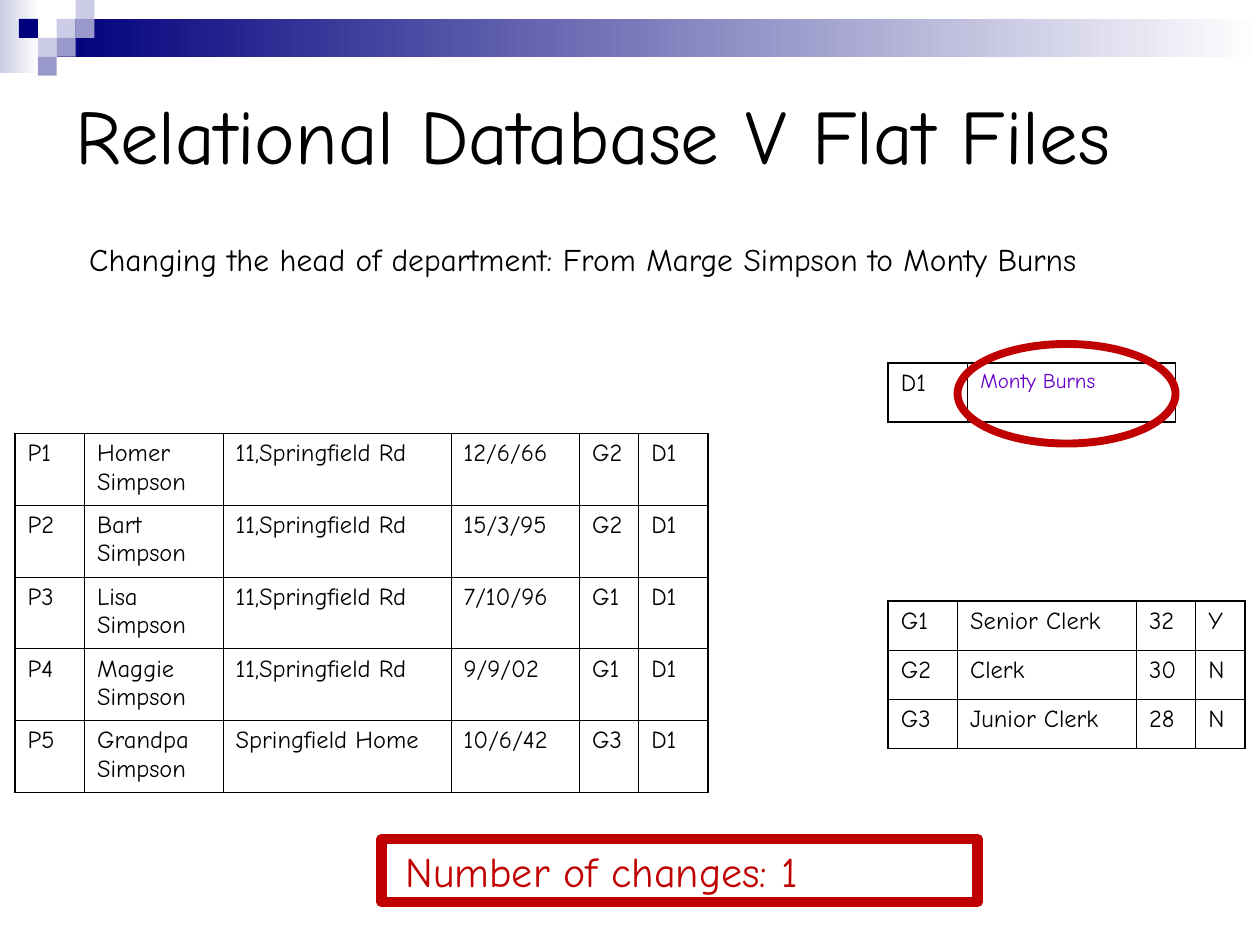
import pptx
import pptx.util
import pptx.oxml
import pptx.oxml.ns
from pptx.dml.color import RGBColor
from pptx.enum.shapes import MSO_SHAPE
from pptx.enum.text import MSO_ANCHOR, PP_ALIGN

Inches, Pt = pptx.util.Inches, pptx.util.Pt

FONT = "Comic Neue"
BLACK = RGBColor(0x00, 0x00, 0x00)
WHITE = RGBColor(0xFF, 0xFF, 0xFF)
NAVY = RGBColor(0x00, 0x00, 0x7D)
LILAC = RGBColor(0xCC, 0xCC, 0xE6)
PERIWINKLE = RGBColor(0x99, 0x99, 0xCC)
RED = RGBColor(0xC0, 0x00, 0x00)
PURPLE = RGBColor(0x66, 0x00, 0xCC)

# Content
TITLE = "Relational Database V Flat Files"
SUBTITLE = "Changing the head of department: From Marge Simpson to Monty Burns"
RESULT = "Number of changes: 1"
DEPARTMENTS = [("D1", "Monty Burns")]
GRADES = [
    ("G1", "Senior Clerk", "32", "Y"),
    ("G2", "Clerk", "30", "N"),
    ("G3", "Junior Clerk", "28", "N"),
]
STAFF = [
    ("P1", "Homer Simpson", "11,Springfield Rd", "12/6/66", "G2", "D1"),
    ("P2", "Bart Simpson", "11,Springfield Rd", "15/3/95", "G2", "D1"),
    ("P3", "Lisa Simpson", "11,Springfield Rd", "7/10/96", "G1", "D1"),
    ("P4", "Maggie Simpson", "11,Springfield Rd", "9/9/02", "G1", "D1"),
    ("P5", "Grandpa Simpson", "Springfield Home", "10/6/42", "G3", "D1"),
]
# Rows, left, top, column widths, row height
TABLES = [
    (DEPARTMENTS, 7.05, 2.88, (0.63, 1.65), 0.47),
    (GRADES, 7.05, 4.77, (0.55, 1.42, 0.47, 0.39), 0.39),
    (STAFF, 0.12, 3.44, (0.55, 1.1, 1.81, 1.02, 0.47, 0.55), 0.57),
]
CHANGED = {"Monty Burns": (12, PURPLE)}

# Gradient bars: left, top, width, height, start colour
BARS = [(0, 0, 0.31, 0.58, LILAC), (0.45, 0.15, 9.55, 0.3, NAVY)]
# Checker squares: column, row, colour
SQUARE = 0.15
SQUARES = [
    (3, 1, LILAC), (4, 0, LILAC), (4, 1, PERIWINKLE), (2, 2, LILAC),
    (1, 1, NAVY), (3, 2, PERIWINKLE), (2, 3, PERIWINKLE),
]
OUTER, INNER = 1.08, 0.45


def add_shape(kind, x, y, w, h):
    sp = slide.shapes.add_shape(kind, Inches(x), Inches(y), Inches(w), Inches(h))
    sp.shadow.inherit = False
    return sp


def add_outline(kind, x, y, w, h, weight):
    sp = add_shape(kind, x, y, w, h)
    sp.fill.background()
    sp.line.color.rgb = RED
    sp.line.width = Pt(weight)
    return sp


def write(tf, text, size, color):
    p = tf.paragraphs[0]
    p.alignment = PP_ALIGN.LEFT
    r = p.add_run()
    r.text = text
    r.font.name = FONT
    r.font.size = Pt(size)
    r.font.color.rgb = color


def add_text(text, x, y, w, h, size, anchor, wrap):
    tf = slide.shapes.add_textbox(Inches(x), Inches(y), Inches(w), Inches(h)).text_frame
    tf.word_wrap = wrap
    tf.vertical_anchor = anchor
    write(tf, text, size, BLACK)


def set_border(cell, side, weight):
    cell._tc.get_or_add_tcPr().append(pptx.oxml.parse_xml(
        f'<a:ln{side} {pptx.oxml.ns.nsdecls("a")} w="{int(Pt(weight))}">'
        f'<a:solidFill><a:srgbClr val="{BLACK}"/></a:solidFill></a:ln{side}>'))


def add_table(rows, x, y, widths, row_height):
    n_rows, n_cols = len(rows), len(widths)
    table = slide.shapes.add_table(
        n_rows, n_cols, Inches(x), Inches(y),
        Inches(sum(widths)), Inches(row_height * n_rows)).table
    table.first_row = table.horz_banding = False
    for column, width in zip(table.columns, widths):
        column.width = Inches(width)
    for i, row in enumerate(rows):
        table.rows[i].height = Inches(row_height)
        for j, text in enumerate(row):
            cell = table.cell(i, j)
            edges = {"L": j == 0, "R": j == n_cols - 1,
                     "T": i == 0, "B": i == n_rows - 1}
            for side, is_outer in edges.items():
                set_border(cell, side, OUTER if is_outer else INNER)
            cell.fill.background()
            write(cell.text_frame, text, *CHANGED.get(text, (14, BLACK)))


prs = pptx.Presentation()
prs.slide_width, prs.slide_height = Inches(10), Inches(7.5)
slide = prs.slides.add_slide(prs.slide_layouts[6])

# Header decoration
for x, y, w, h, color in BARS:
    sp = add_shape(MSO_SHAPE.RECTANGLE, x, y, w, h)
    sp.line.fill.background()
    sp.fill.gradient()
    sp.fill.gradient_angle = 0
    for stop, stop_color in zip(sp.fill.gradient_stops, (color, WHITE)):
        stop.color.rgb = stop_color
for column, row, color in SQUARES:
    sp = add_shape(MSO_SHAPE.RECTANGLE, column * SQUARE, row * SQUARE, SQUARE, SQUARE)
    sp.line.fill.background()
    sp.fill.solid()
    sp.fill.fore_color.rgb = color

# Title, tables and subtitle
add_text(TITLE, 0.5, 0.5, 9.5, 1.12, 44, MSO_ANCHOR.MIDDLE, True)
for table_data in TABLES:
    add_table(*table_data)
add_text(SUBTITLE, 0.61, 1.86, 8.06, 0.4, 18, MSO_ANCHOR.TOP, False)

# Result box and ring around the changed cell
sp = add_outline(MSO_SHAPE.RECTANGLE, 3.03, 6.66, 4.73, 0.5, 6)
tf = sp.text_frame
tf.word_wrap = True
tf.vertical_anchor = MSO_ANCHOR.TOP
tf.margin_left = Inches(0.19)
write(tf, RESULT, 24, RED)
add_outline(MSO_SHAPE.OVAL, 7.6, 2.73, 1.73, 0.79, 4.5)

prs.save("out.pptx")
